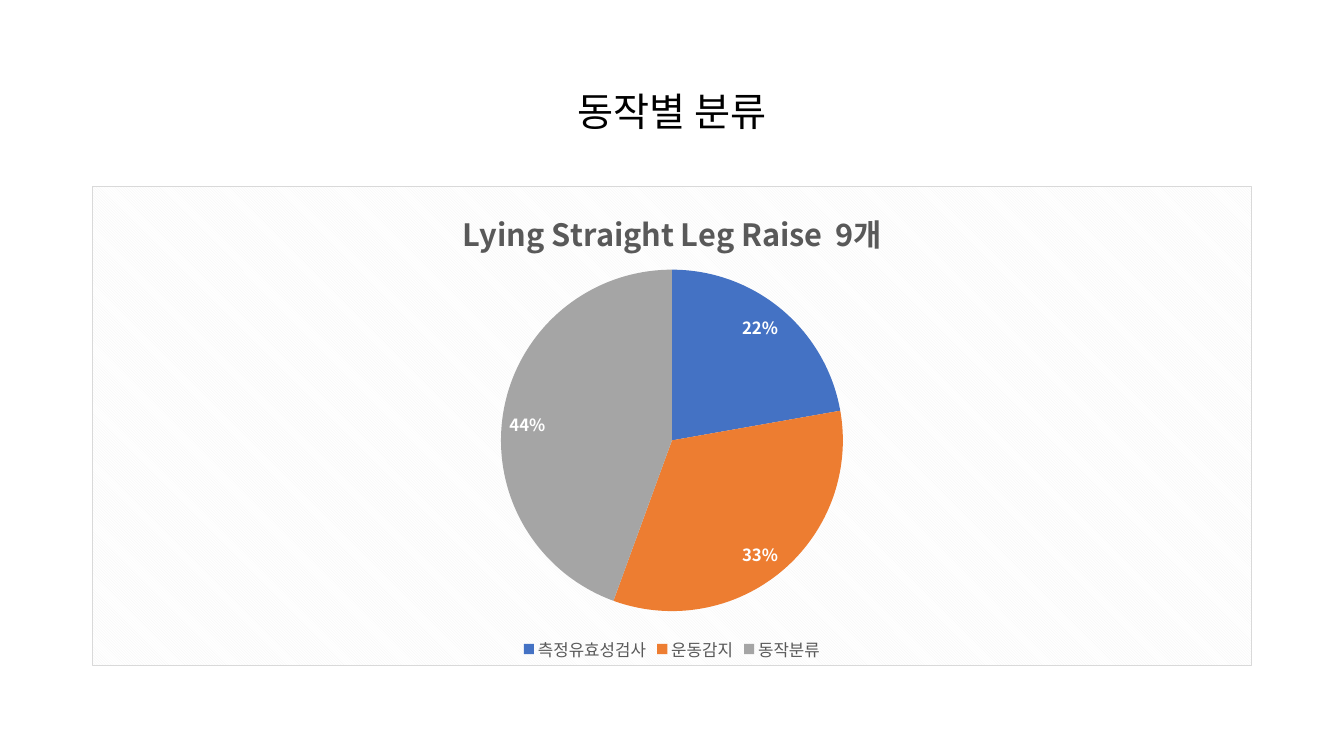
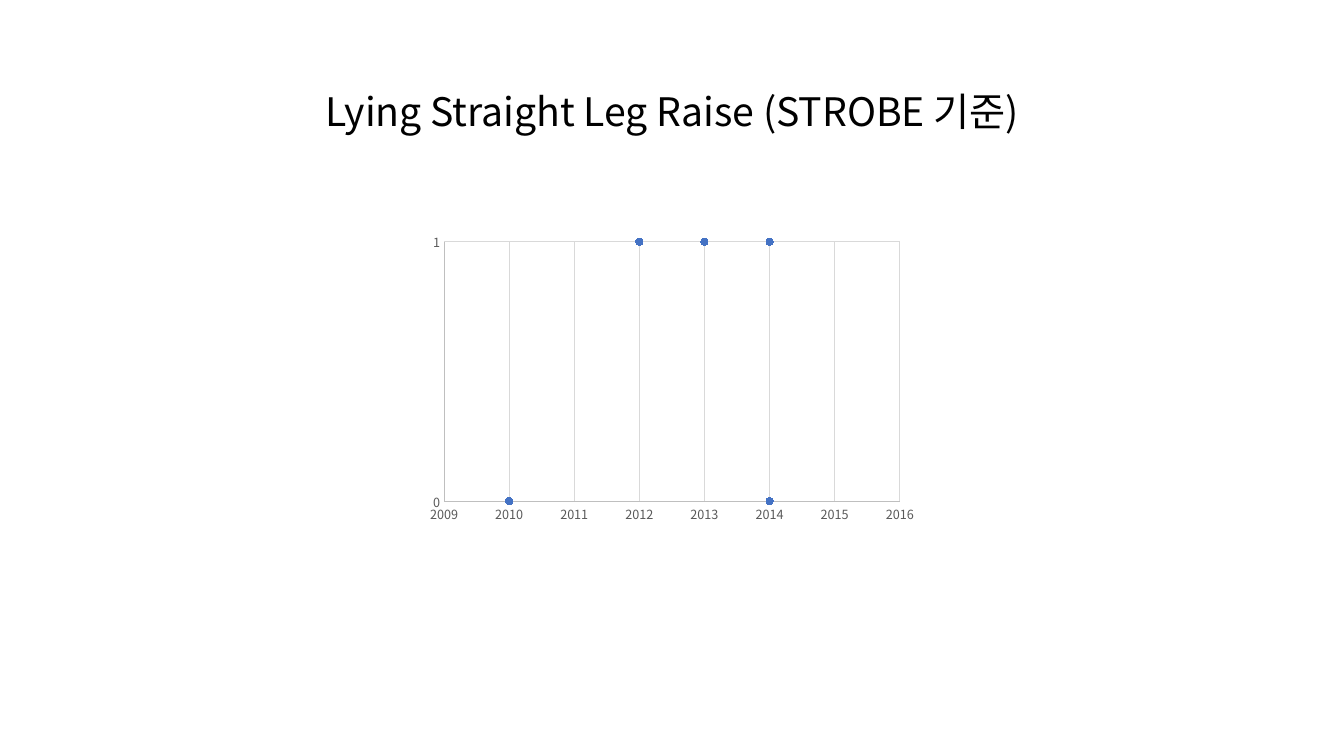
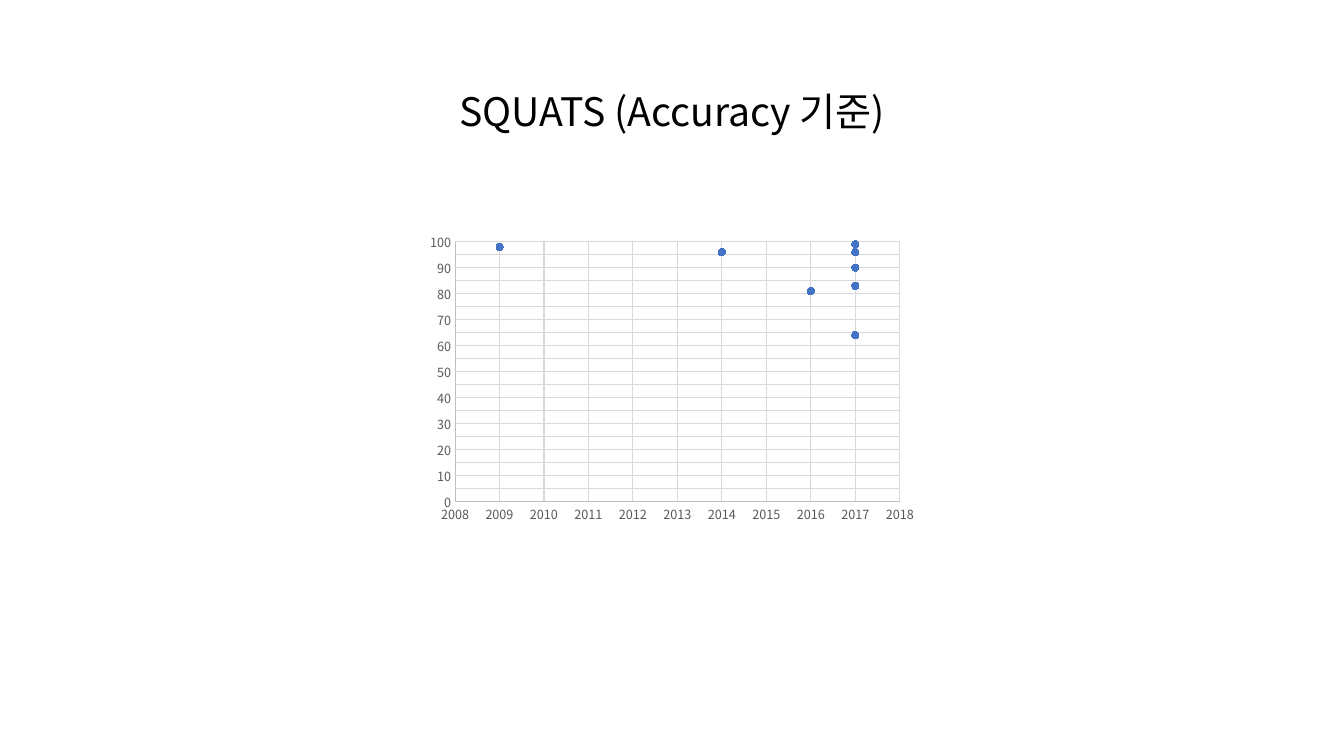
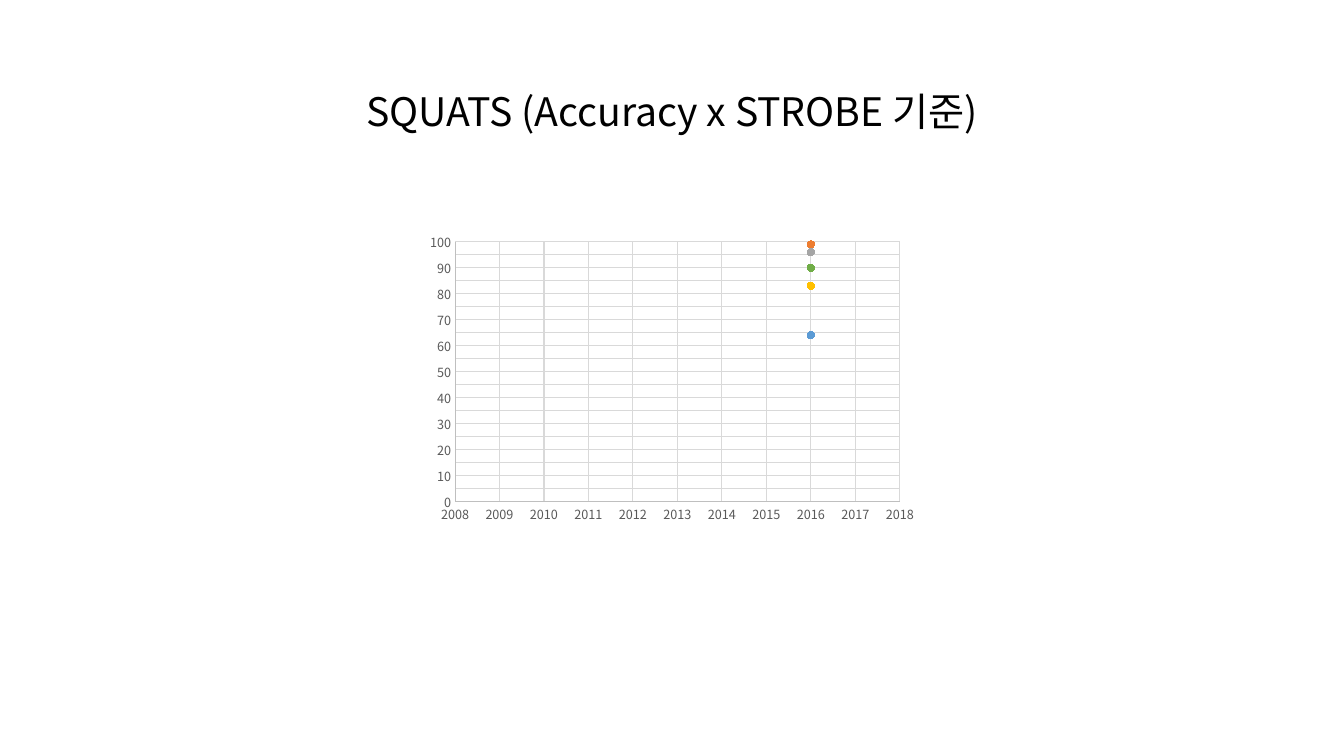
from lxml import etree
from pptx import Presentation
from pptx.chart.data import CategoryChartData, XyChartData
from pptx.dml.color import RGBColor
from pptx.enum.chart import (XL_CHART_TYPE, XL_LABEL_POSITION,
                             XL_LEGEND_POSITION, XL_MARKER_STYLE, XL_TICK_MARK)
from pptx.enum.text import MSO_ANCHOR, PP_ALIGN
from pptx.oxml import parse_xml
from pptx.oxml.ns import nsdecls, qn
from pptx.util import Pt

PIE, DOTS = XL_CHART_TYPE.PIE, XL_CHART_TYPE.XY_SCATTER
IN_END = XL_LABEL_POSITION.INSIDE_END
BOTTOM = XL_LEGEND_POSITION.BOTTOM
CIRCLE = XL_MARKER_STYLE.CIRCLE
NO_TICK = XL_TICK_MARK.NONE
CENTER, MIDDLE = PP_ALIGN.CENTER, MSO_ANCHOR.MIDDLE

FACE = "Noto Sans CJK KR"
HUES = {
    "black": "000000", "white": "FFFFFF", "text": "595959",
    "axis": "BFBFBF", "grid": "D9D9D9", "stripe": "F2F2F2",
    "blue": "4472C4", "orange": "ED7D31", "gray": "A5A5A5",
    "gold": "FFC000", "sky": "5B9BD5", "green": "70AD47",
}
TITLE = (66, 28.75, 828, 104.4)
WIDE = (66, 133, 828, 342.8)
SMALL = (300, 162, 360, 216)
DISC = (291.8, 59.4, 244.4, 244.4)  # plot area inside the wide chart


class Deck:
    """Shared style and the current slide."""

    def __init__(self):
        self.prs = Presentation()
        self.prs.slide_width, self.prs.slide_height = Pt(960), Pt(540)
        self.slide = None

    def color(self, name):
        return RGBColor.from_string(HUES[name])

    def style(self, font, size, hue, bold=False):
        font.size, font.bold, font.name = Pt(size), bold, FACE
        font.color.rgb = self.color(hue)
        # East Asian text takes the same face
        etree.SubElement(font._rPr, qn("a:ea")).set("typeface", FACE)

    def paint(self, fill, hue):
        fill.solid()
        fill.fore_color.rgb = self.color(hue)

    def stroke(self, line, hue):
        line.width = Pt(0.75)
        self.paint(line.fill, hue)

    def page(self, text):
        self.slide = self.prs.slides.add_slide(self.prs.slide_layouts[5])
        title = self.slide.shapes.title
        title.left, title.top, title.width, title.height = map(Pt, TITLE)
        frame = title.text_frame
        frame.vertical_anchor, frame.word_wrap = MIDDLE, True
        para = frame.paragraphs[0]
        para.alignment, para.line_spacing = CENTER, 0.9
        run = para.add_run()
        run.text = text
        self.style(run.font, 28, "black")

    def chart(self, kind, box, data):
        chart = self.slide.shapes.add_chart(kind, *map(Pt, box), data).chart
        self.style(chart.font, 10, "black")
        chart.has_title = chart.has_legend = False
        chart.plots[0].vary_by_categories = kind == PIE
        return chart

    def panel(self, chart):
        """Striped chart background with a thin border."""
        props = parse_xml(
            f'<c:spPr {nsdecls("c", "a")}><a:pattFill prst="dkDnDiag">'
            f'<a:fgClr><a:srgbClr val="{HUES["stripe"]}"/></a:fgClr>'
            f'<a:bgClr><a:srgbClr val="{HUES["white"]}"/></a:bgClr>'
            f'</a:pattFill><a:ln w="{Pt(0.75)}"><a:solidFill>'
            f'<a:srgbClr val="{HUES["grid"]}"/></a:solidFill></a:ln></c:spPr>')
        chart._chartSpace.find(qn("c:chart")).addnext(props)

    def place(self, chart, box, whole):
        """Fix the plot area within the chart."""
        area = chart._chartSpace.find(".//" + qn("c:plotArea"))
        for old in area.findall(qn("c:layout")):
            area.remove(old)
        sizes = "".join(
            f'<c:{tag} val="{part / full:.4f}"/>'
            for tag, part, full in zip("xywh", box, whole[2:] * 2))
        area.insert(0, parse_xml(
            f'<c:layout {nsdecls("c")}><c:manualLayout>'
            '<c:layoutTarget val="inner"/>'
            '<c:xMode val="edge"/><c:yMode val="edge"/>'
            f'{sizes}</c:manualLayout></c:layout>'))

    def pie(self, name, parts):
        data = CategoryChartData()
        data.categories = [cat for cat, _, _ in parts]
        data.add_series("Series 1", [val for _, val, _ in parts])
        chart = self.chart(PIE, WIDE, data)
        self.panel(chart)
        self.place(chart, DISC, WIDE)
        # Heading
        chart.has_title = True
        run = chart.chart_title.text_frame.paragraphs[0].add_run()
        run.text = name
        self.style(run.font, 22, "text", True)
        chart.chart_title.include_in_layout = False
        # Legend
        chart.has_legend = True
        chart.legend.position = BOTTOM
        chart.legend.include_in_layout = False
        self.style(chart.legend.font, 12, "text")
        # Slices and labels
        plot = chart.plots[0]
        for i, (_, _, hue) in enumerate(parts):
            self.paint(plot.series[0].points[i].format.fill, hue)
        plot.has_data_labels = True
        labels = plot.data_labels
        labels.show_percentage, labels.show_value = True, False
        labels.number_format, labels.number_format_is_linked = "0%", False
        labels.position = IN_END
        self.style(labels.font, 12, "white", True)

    def axis(self, axis, low, high, step):
        axis.minimum_scale, axis.maximum_scale = low, high
        axis.major_unit = step
        axis.major_tick_mark = axis.minor_tick_mark = NO_TICK
        axis.has_major_gridlines = True
        self.stroke(axis.major_gridlines.format.line, "grid")
        self.stroke(axis.format.line, "axis")
        self.style(axis.tick_labels.font, 9, "text")
        axis.tick_labels.number_format = "General"
        axis.tick_labels.number_format_is_linked = False

    def dots(self, groups, years, top, step):
        """Scatter chart; each group is a hue and its points."""
        data = XyChartData()
        for i, (_, points) in enumerate(groups, 1):
            series = data.add_series(f"Series {i}")
            for x, y in points:
                series.add_data_point(x, y)
        chart = self.chart(DOTS, SMALL, data)
        self.axis(chart.category_axis, *years, 1)
        self.axis(chart.value_axis, 0, top, step)
        for series, (hue, _) in zip(chart.plots[0].series, groups):
            series.format.line.fill.background()
            mark = series.marker
            mark.style, mark.size = CIRCLE, 5
            self.paint(mark.format.fill, hue)
            self.stroke(mark.format.line, hue)


def main():
    deck = Deck()

    # Share of each category
    deck.page("동작별 분류")
    deck.pie("Lying Straight Leg Raise  9개", [
        ("측정유효성검사", 22, "blue"),
        ("운동감지", 33, "orange"),
        ("동작분류", 44, "gray")])

    # Leg raise by year
    deck.page("Lying Straight Leg Raise (STROBE 기준)")
    raises = [(2010, 0), (2012, 1), (2013, 1), (2014, 1),
              (2014, 0), (2014, 0)]
    deck.dots([("blue", raises)], (2009, 2016), 1, 1)

    # Squat accuracy by year
    deck.page("SQUATS (Accuracy 기준)")
    squats = [(2009, 98), (2014, 96), (2016, 81)]
    squats += [(2017, y) for y in (99, 96, 83, 64, 90)]
    deck.dots([("blue", squats)], (2008, 2018), 100, 5)

    # Squat accuracy, one series per study
    deck.page("SQUATS (Accuracy x STROBE 기준)")
    studies = [("blue", 2020, 81), ("orange", 2016, 99), ("gray", 2016, 96),
               ("gold", 2016, 83), ("sky", 2016, 64), ("green", 2016, 90)]
    deck.dots([(hue, [(x, y)]) for hue, x, y in studies],
              (2008, 2018), 100, 5)

    deck.prs.save("out.pptx")


if __name__ == "__main__":
    main()
